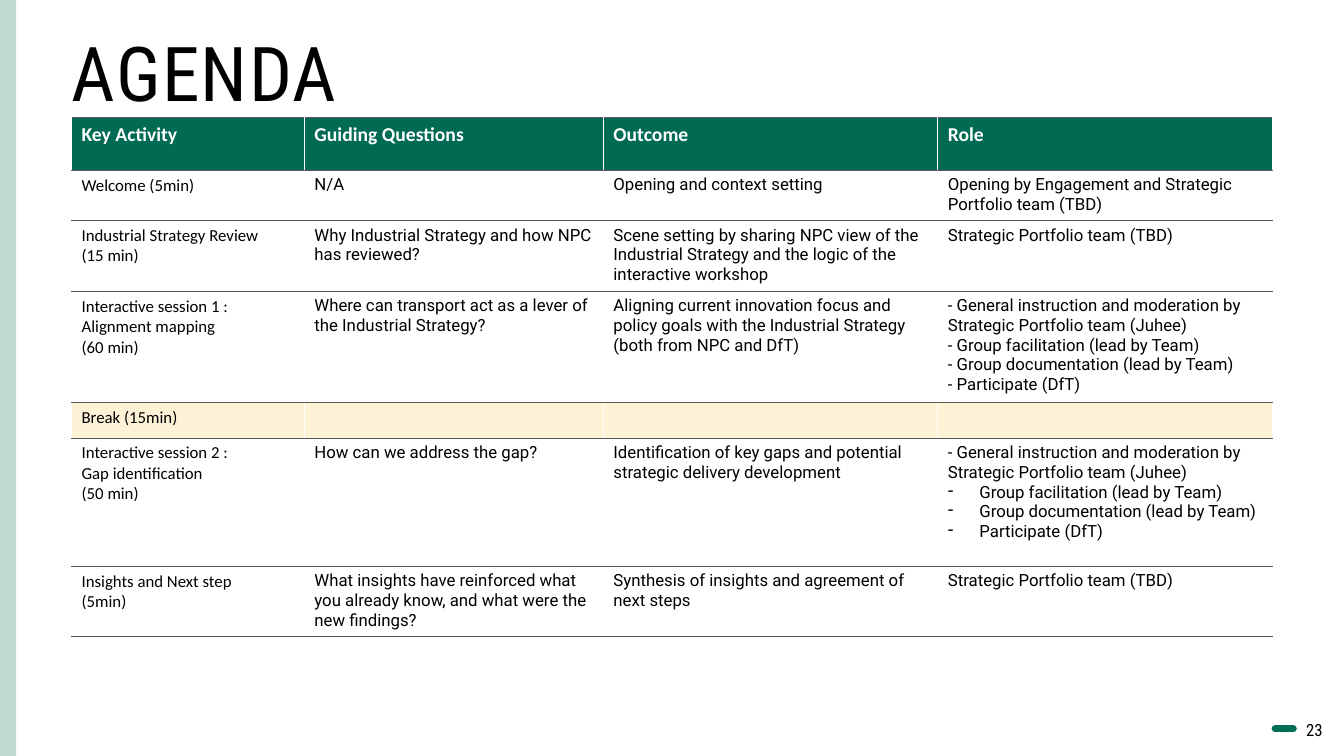
from lxml import etree
from pptx import Presentation
from pptx import util as u
from pptx.dml.color import RGBColor
from pptx.enum import shapes, text
from pptx.oxml.ns import qn

Pt = u.Pt
GREEN, CREAM, BLACK, WHITE, GREY = "006A52", "FEF2D6", "000000", "FFFFFF", "595959"
HEADINGS = ["Key Activity", "Guiding Questions", "Outcome", "Role"]
MODERATION = "- General instruction and moderation by Strategic Portfolio team (Juhee)"
GROUP_TASKS = ["Group facilitation (lead by Team)",
               "Group documentation (lead by Team)", "Participate (DfT)"]
PORTFOLIO = ["Strategic Portfolio team (TBD)"]

# Each row: height, activity, question, outcome, role paragraphs
SESSIONS = [
    (35.5, "Welcome (5min)", "N/A", "Opening and context setting",
     ["Opening by Engagement and Strategic Portfolio team (TBD)"]),
    (49.5, "Industrial Strategy Review\n(15 min)",
     "Why Industrial Strategy and how NPC has reviewed?",
     "Scene setting by sharing NPC\u00a0view of the Industrial Strategy "
     "and the logic of the interactive workshop", PORTFOLIO),
    (78, "Interactive session 1 :\nAlignment mapping\n(60 min)",
     "Where can transport act as a lever of the Industrial Strategy?",
     "Aligning current innovation focus and policy goals with the "
     "Industrial Strategy (both from NPC and DfT)",
     [MODERATION] + ["- " + task for task in GROUP_TASKS]),
    (25.7, "Break (15min)", "", "", [""]),
    (91.5, "Interactive session 2 :\nGap identification\n(50 min)",
     "How can we address the gap?",
     "Identification of key gaps and potential strategic delivery development",
     [MODERATION] + GROUP_TASKS),
    (50, "Insights and Next step\n(5min)",
     "What insights have reinforced what you already know, and what were "
     "the new findings?",
     "Synthesis of insights and agreement of next steps", PORTFOLIO),
]


def rgb(value):
    return RGBColor.from_string(value)


def write(p, words, font, size, color, bold=False):
    """Add words to a paragraph, with a line break at each newline."""
    for i, line in enumerate(words.split("\n")):
        if i:
            p.add_line_break()
        r = p.add_run()
        r.text = line
        r.font.name, r.font.size, r.font.bold = font, Pt(size), bold
        r.font.color.rgb = rgb(color)
    return r


prs = Presentation()
prs.slide_width, prs.slide_height = Pt(960), Pt(540)
s = prs.slides.add_slide(prs.slide_layouts[6])

# Side bar
bar = s.shapes.add_shape(shapes.MSO_SHAPE.RECTANGLE, 0, 0, Pt(11.5), Pt(540))
bar.shadow.inherit = False
bar.line.fill.background()
bar.fill.solid()
bar.fill.fore_color.rgb = rgb(GREEN)
bar_color = bar.fill._xPr.find(qn("a:solidFill"))[0]
etree.SubElement(bar_color, qn("a:alpha"), val="25000")

# Page number and its dash
number = s.shapes.add_textbox(Pt(895.7), Pt(510.5), Pt(56.2), Pt(21.6))
tf = number.text_frame
tf.word_wrap = True
tf.paragraphs[0].alignment = text.PP_ALIGN.RIGHT
write(tf.paragraphs[0], "23", "Roboto Condensed", 12, BLACK)

dash = s.shapes.add_connector(shapes.MSO_CONNECTOR.STRAIGHT,
                              Pt(923.8), Pt(520.6), Pt(910.8), Pt(520.6))
dash.line.width = Pt(5)
dash.line.color.rgb = rgb("006E51")
dash.line._ln.set("cap", "rnd")
etree.SubElement(dash._element.spPr, qn("a:effectLst"))

# Title
title = s.shapes.add_textbox(Pt(51.1), Pt(28.1), Pt(894), Pt(55.4))
tf = title.text_frame
tf.word_wrap = True
tf.margin_left = tf.margin_top = tf.margin_right = tf.margin_bottom = 0
tf.vertical_anchor = text.MSO_ANCHOR.BOTTOM
p = tf.paragraphs[0]
p.line_spacing = 0.85
r = write(p, "AGENDA", "Roboto Condensed", 54, BLACK)
r.font._element.set("spc", "100")

# Agenda table
rows = [(37.5, *HEADINGS[:3], HEADINGS[3:])] + SESSIONS
frame = s.shapes.add_table(len(rows), len(HEADINGS),
                           Pt(51.1), Pt(84), Pt(857.7), Pt(367.7))
table = frame.table
table.first_row = table.horz_banding = False
for column, width in zip(table.columns, [166.3, 213.6, 238.9, 238.9]):
    column.width = Pt(width)

for i, (height, *columns, role) in enumerate(rows):
    table.rows[i].height = Pt(height)
    is_header, is_break = i == 0, columns[0].startswith("Break")
    for j, paragraphs in enumerate([[words] for words in columns] + [role]):
        cell = table.cell(i, j)
        tcPr = cell._tc.get_or_add_tcPr()
        for side, color, width in [("L", WHITE, 1), ("R", WHITE, 1),
                                   ("T", GREY, 0.5), ("B", GREY, 0.5)]:
            ln = etree.SubElement(tcPr, qn("a:ln" + side), w=str(Pt(width)))
            fill = etree.SubElement(ln, qn("a:solidFill"))
            etree.SubElement(fill, qn("a:srgbClr"), val=color)
        if is_header or is_break:
            cell.fill.solid()
            cell.fill.fore_color.rgb = rgb(GREEN if is_header else CREAM)
        else:
            cell.fill.background()

        font = "Calibri" if is_header or j == 0 else "Roboto"
        for k, words in enumerate(paragraphs):
            tf = cell.text_frame
            p = tf.add_paragraph() if k else tf.paragraphs[0]
            if words in GROUP_TASKS:
                pPr = p._p.get_or_add_pPr()
                pPr.set("marL", str(Pt(22.5)))
                pPr.set("indent", str(-Pt(22.5)))
                etree.SubElement(pPr, qn("a:buChar"), char="-")
            if words:
                write(p, words, font, 14 if is_header else 12,
                      WHITE if is_header else BLACK, is_header)
            else:
                etree.SubElement(p._p, qn("a:endParaRPr"), sz="1200")

prs.save("out.pptx")
